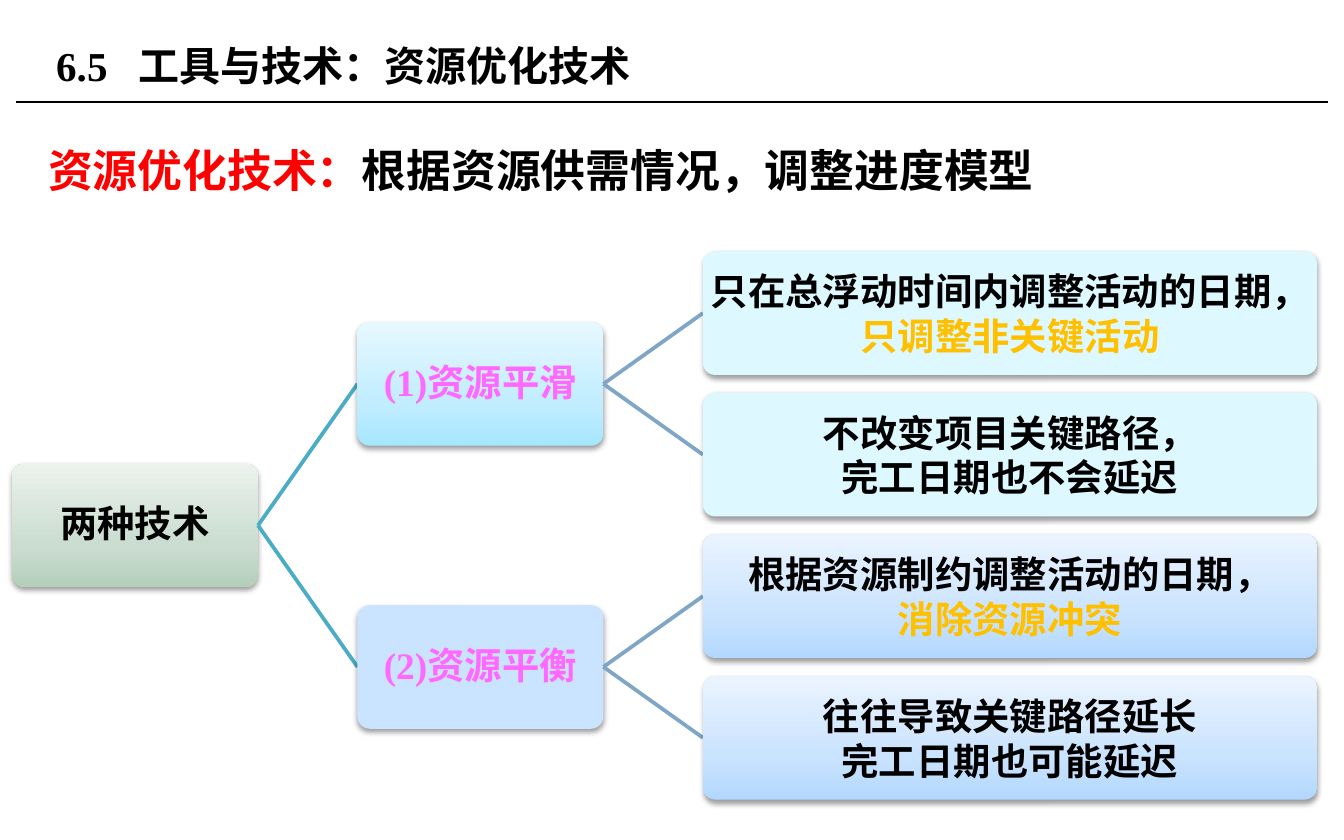
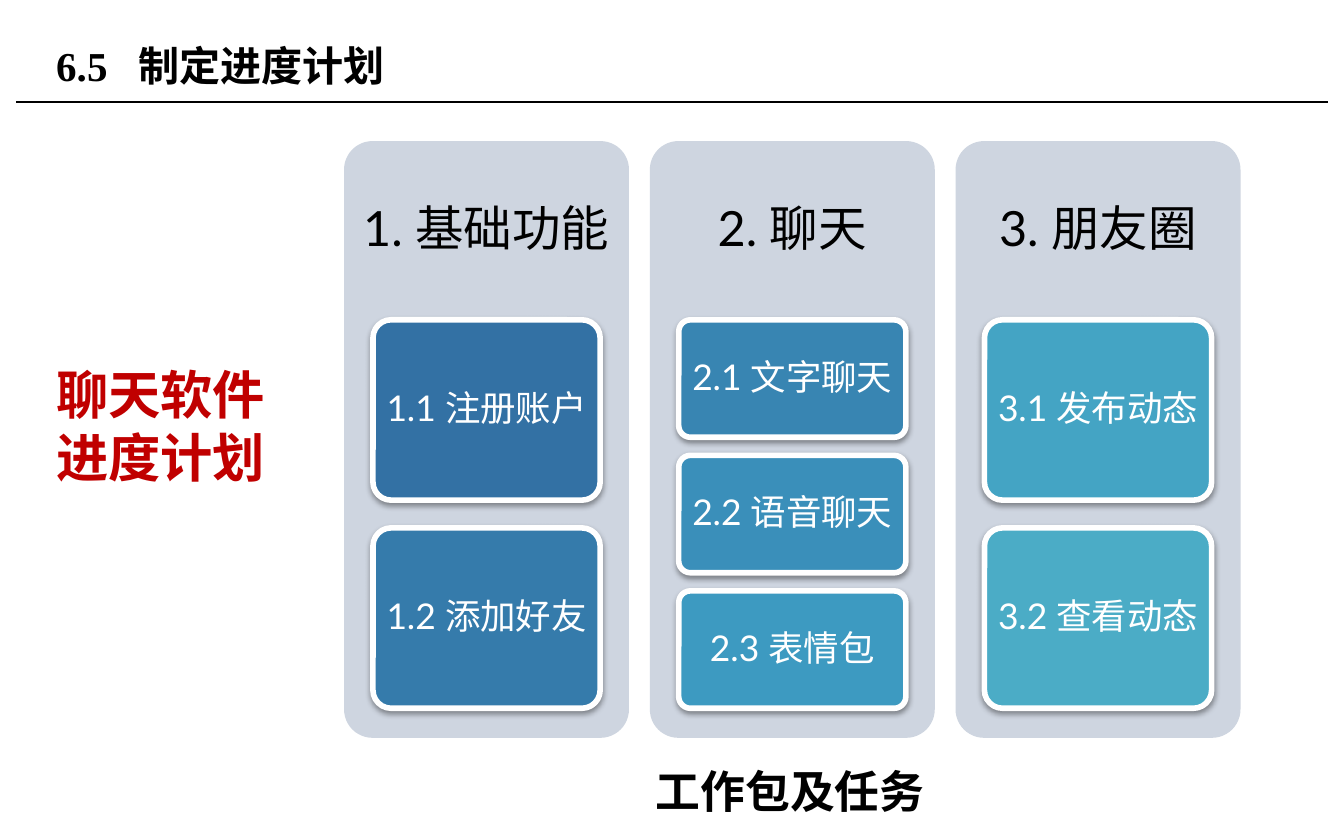
from copy import deepcopy
from dataclasses import dataclass

from lxml import etree
from pptx import Presentation
from pptx.dml.color import RGBColor
from pptx.enum import shapes, text
from pptx.oxml.ns import qn
from pptx.util import Inches, Pt


@dataclass(frozen=True)
class Theme:
    serif: str = "Times New Roman"
    sans: str = "Lato"
    black: str = "000000"
    white: str = "FFFFFF"
    red: str = "FF0000"
    crimson: str = "C00000"
    pink: str = "FF69FF"
    amber: str = "FFC000"
    teal: str = "4BACC6"
    steel: str = "7FA6C7"
    panel: str = "CED5E0"
    green_fade: tuple = ("B5CFBB", "CBDDD0", "EBF2ED")
    cyan_fade: tuple = ("A7E6FF", "C1EDFF", "E7F8FF")
    blue_fade: tuple = ("B3D8FE", "CAE3FE", "EAF4FF")
    pale_cyan: str = "DEF8FF"
    pale_blue: str = "CAE3FE"
    title_size: int = 22
    lead_size: int = 24
    node_size: int = 20
    column_size: int = 26
    task_size: int = 19
    label_size: int = 28


THEME = Theme()

OPTIMIZE_TITLE = "6.5\t工具与技术：资源优化技术"
LEAD = [("资源优化技术：", THEME.red), ("根据资源供需情况，调整进度模型", THEME.black)]
ROOT = "两种技术"
BRANCHES = [
    ("(1)资源平滑", THEME.cyan_fade, THEME.pale_cyan, [
        [[("只在总浮动时间内调整活动的日期，", THEME.black), ("只调整非关键活动", THEME.amber)]],
        ["不改变项目关键路径，", "完工日期也不会延迟"],
    ]),
    ("(2)资源平衡", THEME.pale_blue, THEME.blue_fade, [
        ["根据资源制约调整活动的日期，", [("消除资源冲突", THEME.amber)]],
        ["往往导致关键路径延长", "完工日期也可能延迟"],
    ]),
]

PLAN_TITLE = "6.5\t制定进度计划"
PLAN_LABEL = "聊天软件进度计划"
PLAN_CAPTION = "工作包及任务"
COLUMNS = [
    ("1. 基础功能", [("1.1 注册账户", "3371A4"), ("1.2 添加好友", "357BAB")]),
    ("2. 聊天", [("2.1 文字聊天", "3885B2"), ("2.2 语音聊天", "3A8FBA"), ("2.3 表情包", "3D9AC1")]),
    ("3. 朋友圈", [("3.1 发布动态", "44A4C4"), ("3.2 查看动态", "4BACC6")]),
]


def rgb(value):
    return RGBColor.from_string(value)


def write(box, paragraphs, size, font=THEME.serif, color=THEME.black, bold=True, align=None,
          spacing=None, anchor=text.MSO_ANCHOR.TOP, insets=(0.1, 0.05), wrap=True, tab=None):
    frame = box.text_frame
    frame.word_wrap = wrap
    frame.vertical_anchor = anchor
    frame.margin_left = frame.margin_right = Inches(insets[0])
    frame.margin_top = frame.margin_bottom = Inches(insets[1])
    for index, content in enumerate(paragraphs):
        para = frame.add_paragraph() if index else frame.paragraphs[0]
        para.alignment = align
        if spacing:
            para.line_spacing = spacing
        if tab:
            stops = etree.SubElement(para._p.get_or_add_pPr(), qn("a:tabLst"))
            etree.SubElement(stops, qn("a:tab"), pos=str(Inches(tab)), algn="l")
        para.font.name = font
        para.font.size = Pt(size)
        para.font.bold = bold
        if isinstance(content, str):
            para.font.color.rgb = rgb(color)
            para.add_run().text = content
        else:
            for words, tint in content:
                span = para.add_run()
                span.text = words
                span.font.color.rgb = rgb(tint)


def add_text(page, place, paragraphs, size, **style):
    box = page.shapes.add_textbox(*map(Inches, place))
    write(box, paragraphs, size, **style)


def paint(box, fill):
    if isinstance(fill, str):
        box.fill.solid()
        box.fill.fore_color.rgb = rgb(fill)
        return
    box.fill.gradient()
    box.fill.gradient_angle = 90
    stops = box._element.spPr.find(".//" + qn("a:gsLst"))
    stops.insert(1, deepcopy(stops[0]))
    for stop, position, color in zip(box.fill.gradient_stops, (0, 0.35, 1), fill):
        stop.position = position
        stop.color.rgb = rgb(color)


def add_card(page, place, fill, outline=None, shadow=True):
    box = page.shapes.add_shape(shapes.MSO_SHAPE.ROUNDED_RECTANGLE, *map(Inches, place))
    box.adjustments[0] = 0.1
    paint(box, fill)
    if outline:
        box.line.color.rgb = rgb(outline)
        box.line.width = Pt(3)
    else:
        box.line.fill.background()
    box.shadow.inherit = False
    if shadow:
        effects = box._element.spPr.find(qn("a:effectLst"))
        cast = etree.SubElement(effects, qn("a:outerShdw"), blurRad=str(Pt(3.1)),
                                dist=str(Pt(1.6)), dir="5400000", rotWithShape="0")
        tint = etree.SubElement(cast, qn("a:srgbClr"), val=THEME.black)
        etree.SubElement(tint, qn("a:alpha"), val="38000")
    return box


def add_line(page, start, end, color, width):
    line = page.shapes.add_connector(shapes.MSO_CONNECTOR.STRAIGHT, *map(Inches, (*start, *end)))
    line.line.color.rgb = rgb(color)
    line.line.width = Pt(width)
    etree.SubElement(line._element.spPr, qn("a:effectLst"))


def add_page(deck, title, title_width):
    page = deck.slides.add_slide(deck.slide_layouts[6])
    add_line(page, (0.12, 0.76), (9.88, 0.76), THEME.black, 0.75)
    add_text(page, (0.32, 0.13, title_width, 0.71), [title], THEME.title_size,
             anchor=text.MSO_ANCHOR.MIDDLE, tab=0.61)
    return page


def build_optimize(deck):
    page = add_page(deck, OPTIMIZE_TITLE, 7.28)
    add_text(page, (0.26, 0.81, 9.49, 3.9), [LEAD], THEME.lead_size, spacing=1.5)

    root_left, branch_left, result_left = 0.09, 2.66, 5.23
    node_width, result_width, height = 1.83, 4.57, 0.92
    first_middle, step = 2.33, 1.053

    def add_node(left, middle, width, fill, paragraphs, **style):
        box = add_card(page, (left, middle - height / 2, width, height), fill)
        write(box, paragraphs, THEME.node_size, align=text.PP_ALIGN.CENTER,
              anchor=text.MSO_ANCHOR.MIDDLE, insets=(0.01, 0.01), **style)

    root_middle = first_middle + 1.5 * step
    add_node(root_left, root_middle, node_width, THEME.green_fade, [ROOT],
             font=THEME.sans, spacing=0.9)
    for index, (name, fill, result_fill, results) in enumerate(BRANCHES):
        middle = first_middle + (2 * index + 0.5) * step
        add_line(page, (root_left + node_width, root_middle), (branch_left, middle), THEME.teal, 2)
        add_node(branch_left, middle, node_width, fill, [name], color=THEME.pink, spacing=0.9)
        for row, paragraphs in enumerate(results):
            result_middle = first_middle + (2 * index + row) * step
            add_line(page, (branch_left + node_width, middle), (result_left, result_middle),
                     THEME.steel, 2)
            add_node(result_left, result_middle, result_width, result_fill, paragraphs)


def build_plan(deck):
    page = add_page(deck, PLAN_TITLE, 6.38)
    top, column_width, pitch = 1.05, 2.12, 2.275
    task_top, task_width, stack_height, gap_ratio = 2.38, 1.69, 2.89, 0.154
    centred = dict(font=THEME.sans, bold=False, align=text.PP_ALIGN.CENTER, spacing=0.9,
                   anchor=text.MSO_ANCHOR.MIDDLE)
    for index, (heading, tasks) in enumerate(COLUMNS):
        left = 2.56 + index * pitch
        add_card(page, (left, top, column_width, 4.44), THEME.panel, shadow=False)
        add_text(page, (left, top, column_width, 1.33), [heading], THEME.column_size,
                 insets=(0.11, 0.11), **centred)
        height = stack_height / (len(tasks) + gap_ratio * (len(tasks) - 1))
        task_left = left + (column_width - task_width) / 2
        for row, (name, fill) in enumerate(tasks):
            place = (task_left, task_top + row * height * (1 + gap_ratio), task_width, height)
            box = add_card(page, place, fill, outline=THEME.white)
            write(box, [name], THEME.task_size, color=THEME.white, insets=(0.05, 0.04), **centred)
    add_text(page, (0.32, 2.65, 1.92, 1.04), [PLAN_LABEL], THEME.label_size,
             font=THEME.sans, color=THEME.crimson)
    add_text(page, (4.78, 5.63, 2.22, 0.5), [PLAN_CAPTION], THEME.lead_size,
             font=THEME.sans, wrap=False)


def main():
    deck = Presentation()
    deck.slide_width, deck.slide_height = Inches(10), Inches(6.25)
    build_optimize(deck)
    build_plan(deck)
    deck.save("out.pptx")


if __name__ == "__main__":
    main()
